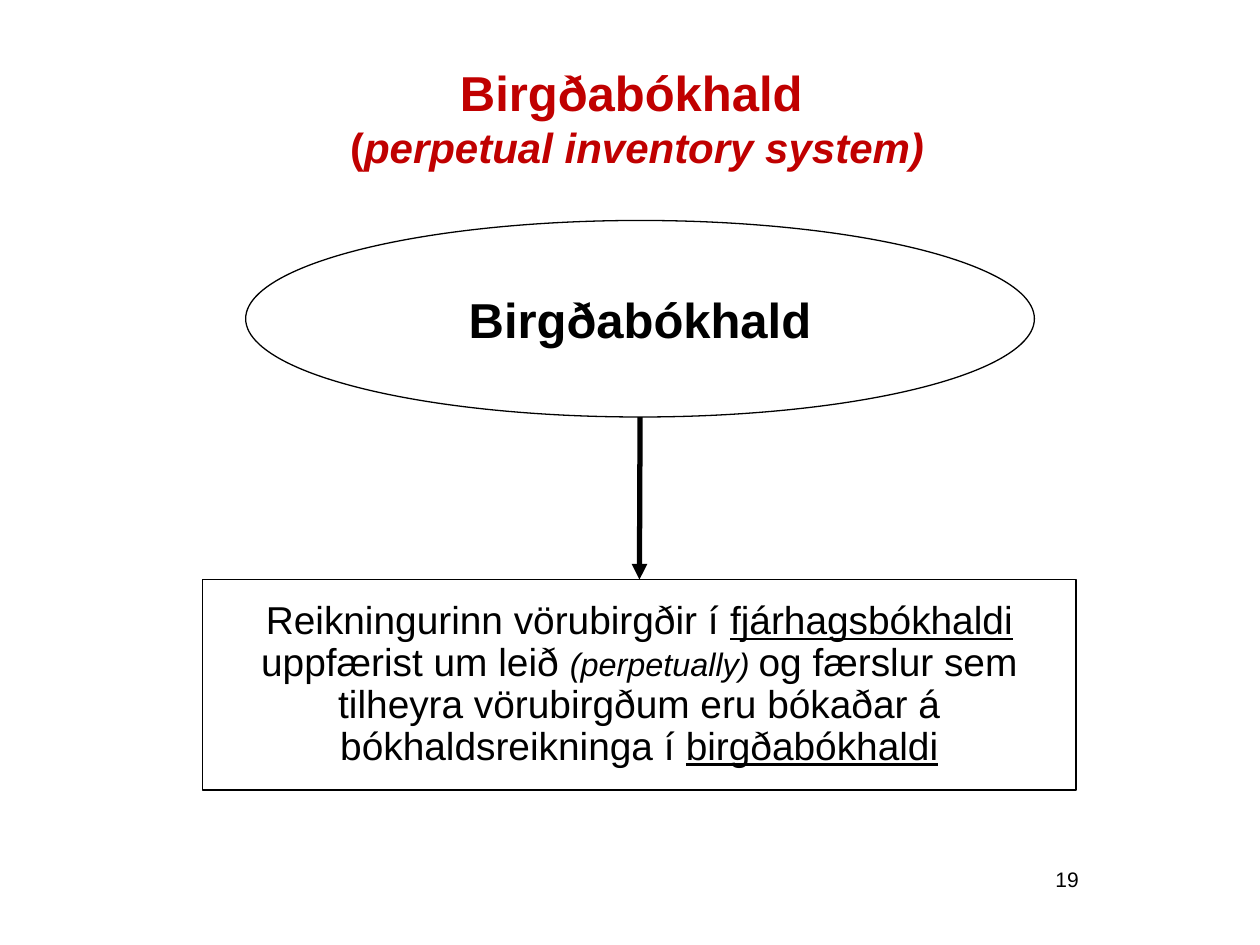
from dataclasses import dataclass

from lxml import etree
from pptx import Presentation
from pptx import util as u
from pptx.dml import color
from pptx.enum import shapes, text
from pptx.oxml import ns

BLACK = "000000"
RED = "C00000"


@dataclass
class Run:
    content: str
    size: float
    bold: bool = False
    italic: bool = False
    underline: bool = False


@dataclass
class Box:
    left: float
    top: float
    width: float
    height: float

    def lengths(self) -> list:
        return [u.Inches(value) for value in (self.left, self.top, self.width, self.height)]


def rgb(value: str) -> color.RGBColor:
    return color.RGBColor.from_string(value)


def write_text(shape, lines: list[list[Run]], *, fill: str = BLACK,
               align=text.PP_ALIGN.CENTER, anchor=text.MSO_ANCHOR.MIDDLE,
               spacing: float = 1.0) -> None:
    frame = shape.text_frame
    frame.word_wrap = True
    frame.vertical_anchor = anchor
    paragraph = frame.paragraphs[0]
    paragraph.alignment = align
    paragraph.line_spacing = spacing
    for index, line in enumerate(lines):
        if index:
            paragraph.add_line_break()
        for part in line:
            run = paragraph.add_run()
            run.text = part.content
            font = run.font
            font.name = "Arial"
            font.size = u.Pt(part.size)
            font.bold = part.bold
            font.italic = part.italic
            font.underline = part.underline
            font.color.rgb = rgb(fill)


def add_outlined(slide, kind, box: Box):
    shape = slide.shapes.add_shape(kind, *box.lengths())
    shape.shadow.inherit = False
    shape.fill.background()
    shape.line.color.rgb = rgb(BLACK)
    shape.line.width = u.Pt(0.75)
    return shape


def add_arrow(slide, start: tuple[float, float], target):
    arrow = slide.shapes.add_connector(
        shapes.MSO_CONNECTOR.STRAIGHT, u.Inches(start[0]), u.Inches(start[1]),
        target.left + target.width // 2, target.top)
    arrow.end_connect(target, 0)
    arrow.line.color.rgb = rgb(BLACK)
    arrow.line.width = u.Pt(3)
    etree.SubElement(arrow.line._get_or_add_ln(), ns.qn("a:tailEnd"), type="triangle")
    etree.SubElement(arrow._element.spPr, ns.qn("a:effectLst"))


def main() -> None:
    presentation = Presentation()
    presentation.slide_width = u.Inches(10)
    presentation.slide_height = u.Inches(7.5)
    slide = presentation.slides.add_slide(presentation.slide_layouts[6])

    title = slide.shapes.add_textbox(*Box(0.27, 0.28, 9.48, 1.3).lengths())
    write_text(title, [
        [Run("Birgðabókhald", 28, bold=True)],
        [Run(" (", 24, bold=True),
         Run("perpetual inventory system)", 24, bold=True, italic=True)],
    ], fill=RED)

    ledger_box = Box(1.95, 1.75, 6.26, 1.56)
    ledger = add_outlined(slide, shapes.MSO_SHAPE.OVAL, ledger_box)
    write_text(ledger, [[Run("Birgðabókhald", 28, bold=True)]])

    explanation = add_outlined(slide, shapes.MSO_SHAPE.RECTANGLE, Box(1.61, 4.6, 6.93, 1.67))
    write_text(explanation, [[
        Run("Reikningurinn vörubirgðir í ", 22.2),
        Run("fjárhagsbókhaldi", 22.2, underline=True),
        Run(" uppfærist um leið ", 22.2),
        Run("(perpetually) ", 18.5, italic=True),
        Run("og færslur sem tilheyra vörubirgðum eru bókaðar á bókhaldsreikninga í ", 22.2),
        Run("birgðabókhaldi", 22.2, underline=True),
    ]], spacing=0.9)

    ledger_bottom = (ledger_box.left + ledger_box.width / 2, ledger_box.top + ledger_box.height)
    add_arrow(slide, ledger_bottom, explanation)

    page_number = slide.shapes.add_textbox(*Box(6.58, 6.83, 2.08, 0.5).lengths())
    write_text(page_number, [[Run("19", 12)]],
               align=text.PP_ALIGN.RIGHT, anchor=text.MSO_ANCHOR.TOP)

    presentation.save("out.pptx")


if __name__ == "__main__":
    main()
